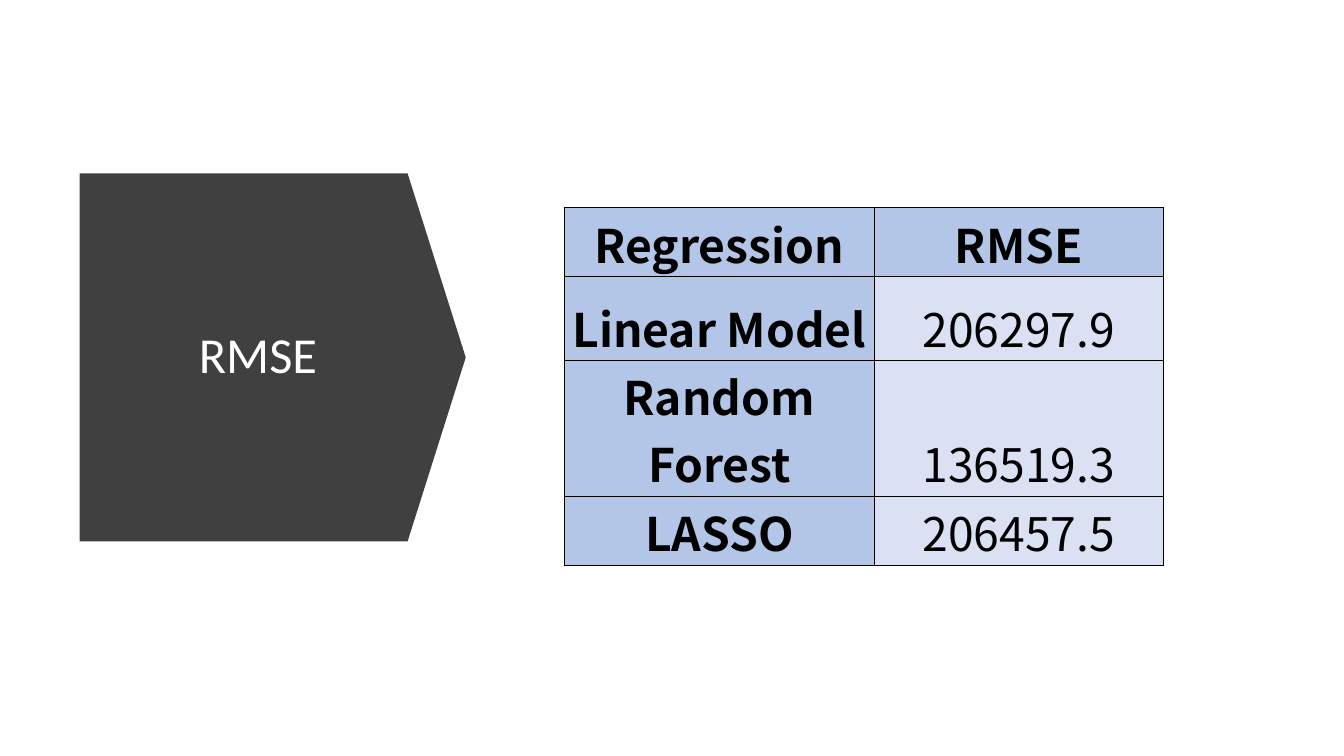
from lxml.etree import SubElement
from pptx import Presentation
from pptx.dml.color import RGBColor
from pptx.enum.shapes import MSO_SHAPE as Preset
from pptx.enum.text import MSO_ANCHOR as Anchor, MSO_AUTO_SIZE as AutoSize, PP_ALIGN as Align
from pptx.oxml.ns import qn
from pptx.util import Pt

BLACK = RGBColor(0x00, 0x00, 0x00)
WHITE = RGBColor(0xFF, 0xFF, 0xFF)
CHARCOAL = RGBColor(0x40, 0x40, 0x40)
HEADER_BLUE = RGBColor(0xB4, 0xC6, 0xE7)
VALUE_BLUE = RGBColor(0xD9, 0xE1, 0xF2)


def set_font(font, color, **values):
    for name, value in values.items():
        setattr(font, name, value)
    font.color.rgb = color


def add_borders(cell, color, width):
    properties = cell._tc.get_or_add_tcPr()
    for side in ("lnL", "lnR", "lnT", "lnB"):
        line = SubElement(properties, qn(f"a:{side}"), w=str(width))
        fill = SubElement(line, qn("a:solidFill"))
        SubElement(fill, qn("a:srgbClr"), val=str(color))


presentation = Presentation()
presentation.slide_width = Pt(960)
presentation.slide_height = Pt(540)
slide = presentation.slides.add_slide(presentation.slide_layouts[5])

title = slide.shapes.title
title.left, title.top, title.width, title.height = Pt(80.6), Pt(154.8), Pt(207.4), Pt(200.9)
title_frame = title.text_frame
title_frame.text = "RMSE"
title_format = {"vertical_anchor": Anchor.MIDDLE, "word_wrap": True, "auto_size": AutoSize.NONE}
for name, value in title_format.items():
    setattr(title_frame, name, value)
paragraph = title_frame.paragraphs[0]
paragraph.alignment = Align.CENTER
paragraph.line_spacing = 0.9
set_font(paragraph.runs[0].font, WHITE, name="Calibri", size=Pt(36))

arrow = slide.shapes.add_shape(Preset.DOWN_ARROW, Pt(63.4), Pt(117.4), Pt(262.8), Pt(275.8))
arrow.rotation = 270
arrow.adjustments[0] = 1
arrow.adjustments[1] = 0.158
arrow.shadow.inherit = False
arrow.fill.solid()
arrow.fill.fore_color.rgb = CHARCOAL
arrow.line.fill.background()
title.element.addprevious(arrow.element)

rows = [
    ("Regression", "RMSE"),
    ("Linear Model", "206297.9"),
    ("Random Forest", "136519.3"),
    ("LASSO", "206457.5"),
]
column_widths = [221.3, 206.5]
row_heights = [47.7, 59.8, 50.4, 47.7]
table = slide.shapes.add_table(
    len(rows), len(column_widths), Pt(403.2), Pt(148.3), Pt(sum(column_widths)), Pt(sum(row_heights))
).table
table.first_row = False
table.horz_banding = False
for column, width in zip(table.columns, column_widths):
    column.width = Pt(width)
for row, height in zip(table.rows, row_heights):
    row.height = Pt(height)

cell_format = {
    "vertical_anchor": Anchor.BOTTOM,
    "margin_left": Pt(1.5),
    "margin_right": Pt(1.5),
    "margin_top": Pt(1.5),
    "margin_bottom": Pt(0),
}
for row_index, texts in enumerate(rows):
    for column_index, text in enumerate(texts):
        cell = table.cell(row_index, column_index)
        is_header = row_index == 0 or column_index == 0
        for name, value in cell_format.items():
            setattr(cell, name, value)
        add_borders(cell, BLACK, Pt(0.5))
        cell.fill.solid()
        cell.fill.fore_color.rgb = HEADER_BLUE if is_header else VALUE_BLUE
        cell.text = text
        paragraph = cell.text_frame.paragraphs[0]
        paragraph.alignment = Align.CENTER
        set_font(paragraph.runs[0].font, BLACK, name="Noto Sans CJK SC", size=Pt(33), bold=is_header)

presentation.save("out.pptx")
